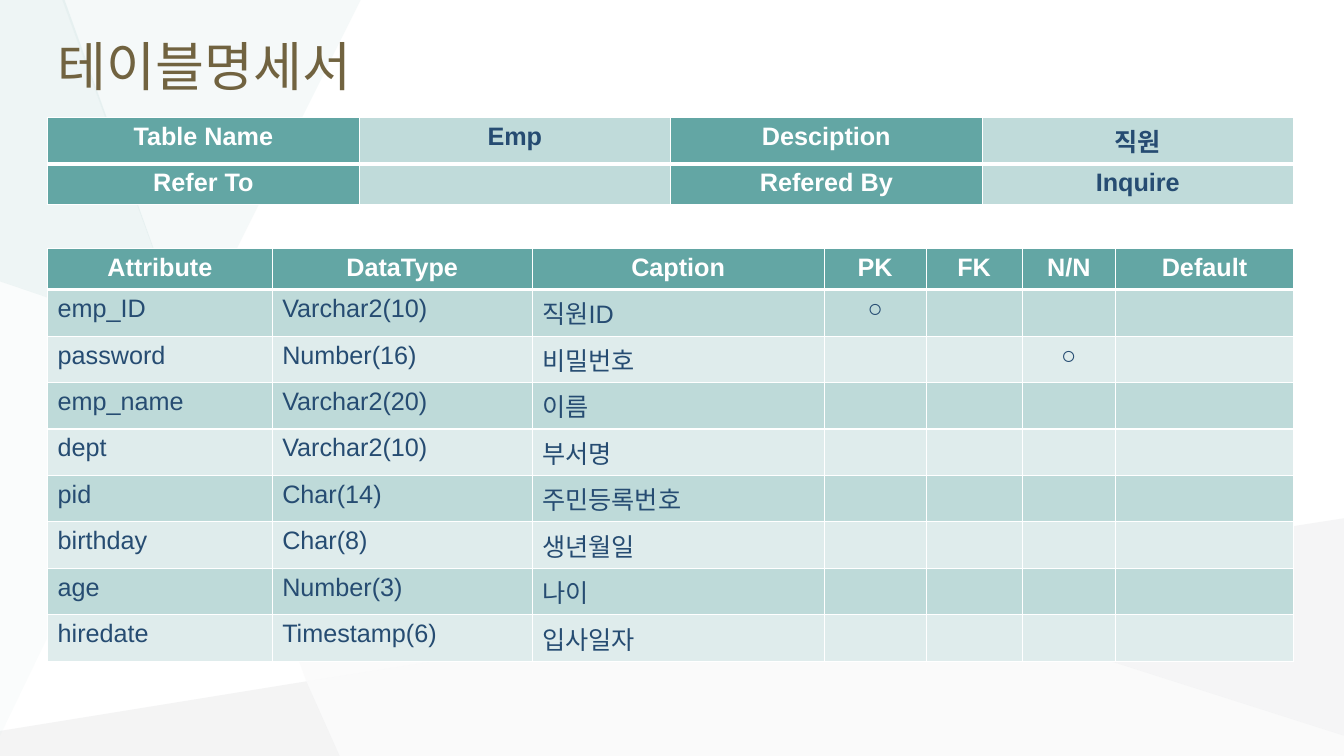
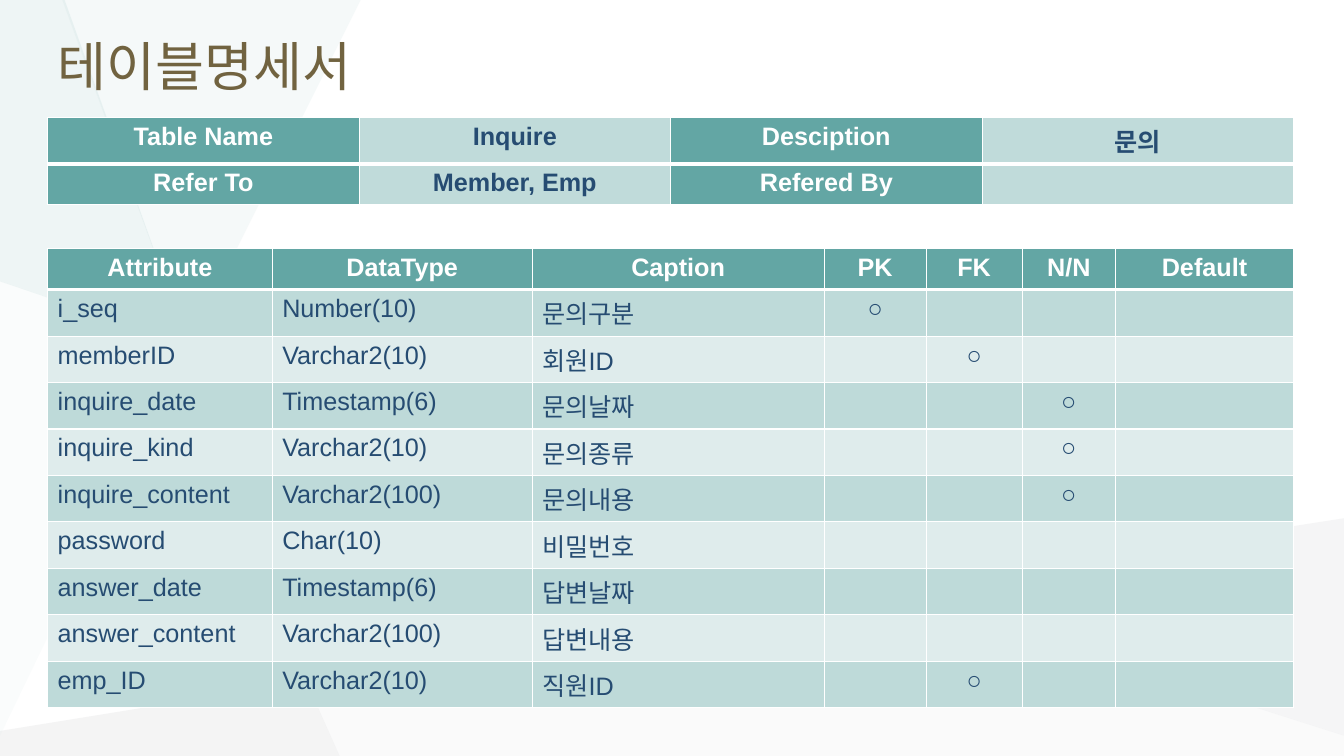
from dataclasses import dataclass
from pptx import Presentation
from pptx.dml.color import RGBColor
from pptx.enum.text import MSO_ANCHOR, PP_ALIGN
from pptx.oxml import parse_xml
from pptx.oxml.ns import nsdecls, qn
from pptx.util import Cm, Pt


@dataclass(frozen=True)
class Theme:
    font: str = "Arial"
    title: str = "716340"
    ink: str = "264C72"
    white: str = "FFFFFF"
    teal: str = "63A6A4"
    bands: tuple = ("BEDAD9", "DFECEC")
    tint: int = 40
    head: int = 38
    body: int = 18
    thin: int = 1
    mid: int = 2
    thick: int = 3


T = Theme()
TITLE = "테이블명세서"
LABELS = (("Table Name", "Desciption"), ("Refer To", "Refered By"))
HEADS = ("Attribute", "DataType", "Caption", "PK", "FK", "N/N", "Default")
MARK = "○"

SPECS = [
    {
        "facts": (("Emp", "직원"), ("", "Inquire")),
        "rows": [
            ("emp_ID", "Varchar2(10)", "직원ID", "PK"),
            ("password", "Number(16)", "비밀번호", "N/N"),
            ("emp_name", "Varchar2(20)", "이름", ""),
            ("dept", "Varchar2(10)", "부서명", ""),
            ("pid", "Char(14)", "주민등록번호", ""),
            ("birthday", "Char(8)", "생년월일", ""),
            ("age", "Number(3)", "나이", ""),
            ("hiredate", "Timestamp(6)", "입사일자", ""),
        ],
    },
    {
        "facts": (("Inquire", "문의"), ("Member, Emp", "")),
        "rows": [
            ("i_seq", "Number(10)", "문의구분", "PK"),
            ("memberID", "Varchar2(10)", "회원ID", "FK"),
            ("inquire_date", "Timestamp(6)", "문의날짜", "N/N"),
            ("inquire_kind", "Varchar2(10)", "문의종류", "N/N"),
            ("inquire_content", "Varchar2(100)", "문의내용", "N/N"),
            ("password", "Char(10)", "비밀번호", ""),
            ("answer_date", "Timestamp(6)", "답변날짜", ""),
            ("answer_content", "Varchar2(100)", "답변내용", ""),
            ("emp_ID", "Varchar2(10)", "직원ID", "FK"),
        ],
    },
]

WIDE, HIGH = 33.87, 19.05
LEFT, SPAN = 1.2, 31.4
LOW_ROW, TALL_ROW = 1.03, 1.17
COLS = (5.66, 6.55, 7.36, 2.57, 2.42, 2.35, 4.49)
FACT_TOP, LIST_TOP = 2.96, 6.27

HUB, LOW, EDGE = (22.33, 14.86), (7.72, 17.17), (4.75, 8.71)
FOOT, SIDE = (8.56, HIGH), (0, 7.09)
FACETS = [
    ("F3F2F2", 26, [(4.83, 8.74), (6.12, 12.75), LOW, HUB]),
    ("B6B8BA", 15, [LOW, (0, 18.42), (0, HIGH), FOOT]),
    ("E0EDED", 31, [(9.09, 0), (1.57, 0), EDGE]),
    ("C6C8CA", 17, [(WIDE, 13.06), HUB, (WIDE, 18.54)]),
    ("B6B8BA", 6, [HUB, LOW, FOOT, (WIDE, HIGH), (WIDE, 18.54)]),
    ("C1DBDB", 27, [(1.63, 0), (0, 0), SIDE, EDGE]),
    ("C1DBDB", 8, [SIDE, (0, 18.54), EDGE]),
]


def put(frame, text, color=T.ink, size=T.body, bold=False, align=PP_ALIGN.LEFT):
    para = frame.paragraphs[0]
    para.alignment = align
    if text:
        run = para.add_run()
        run.text = text
        font = run.font
        font.name, font.size, font.bold = T.font, Pt(size), bold
        font.color.rgb = RGBColor.from_string(color)


def paint(fill, color, props, alpha=100):
    fill.solid()
    fill.fore_color.rgb = RGBColor.from_string(color)
    if alpha < 100:
        tone = props.find(qn("a:solidFill")).find(qn("a:srgbClr"))
        tone.append(parse_xml(f'<a:alpha {nsdecls("a")} val="{alpha * 1000}"/>'))


def edge_cell(props, top, base):
    sides = (("L", T.thin), ("R", T.thin), ("T", top), ("B", base))
    for spot, (side, width) in enumerate(sides):
        props.insert(spot, parse_xml(
            f'<a:ln{side} {nsdecls("a")} w="{Pt(width)}"><a:solidFill>'
            f'<a:srgbClr val="{T.white}"/></a:solidFill></a:ln{side}>'))


def add_grid(slide, top, cols, highs, rows, rule):
    size = Cm(LEFT), Cm(top), Cm(SPAN), Cm(sum(highs))
    grid = slide.shapes.add_table(len(rows), len(cols), *size).table
    grid.first_row = grid.horz_banding = False
    for col, width in zip(grid.columns, cols):
        col.width = Cm(width)
    for r, (row, high) in enumerate(zip(rows, highs)):
        grid.rows[r].height = Cm(high)
        for c, (text, fill, alpha, form) in enumerate(row):
            cell = grid.cell(r, c)
            props = cell._tc.get_or_add_tcPr()
            put(cell.text_frame, text, **form)
            paint(cell.fill, fill, props, alpha)
            edge_cell(props, rule if r == 1 else T.thin, rule if r == 0 else T.thin)


def head(text):
    return text, T.teal, 100, dict(color=T.white, bold=True, align=PP_ALIGN.CENTER)


def fact(text):
    return text, T.teal, T.tint, dict(bold=True, align=PP_ALIGN.CENTER)


def fact_rows(facts):
    return [[make(text) for pair in zip(names, values)
             for make, text in zip((head, fact), pair)]
            for names, values in zip(LABELS, facts)]


def list_rows(items):
    rows = [[head(name) for name in HEADS]]
    for i, (*words, key) in enumerate(items):
        fill = T.bands[i % 2]
        marks = [MARK if name == key else "" for name in HEADS[3:]]
        rows.append([(word, fill, 100, {}) for word in words]
                    + [(mark, fill, 100, dict(align=PP_ALIGN.CENTER)) for mark in marks])
    return rows


def add_facets(slide, master):
    for spot, (color, alpha, points) in enumerate(FACETS):
        start, *rest = [(Cm(x), Cm(y)) for x, y in points]
        pen = slide.shapes.build_freeform(*start)
        pen.add_line_segments(rest, close=True)
        shape = pen.convert_to_shape()
        shape.shadow.inherit = False
        shape.line.fill.background()
        paint(shape.fill, color, shape.element.spPr, alpha)
        next(shape.element.iter(qn("p:cNvPr"))).set("id", str(100 + spot))
        master.shapes.element.insert(2 + spot, shape.element)


def add_title(slide):
    box = slide.shapes.add_textbox(Cm(LEFT), Cm(0.33), Cm(SPAN), Cm(2.62))
    frame = box.text_frame
    frame.word_wrap = True
    frame.vertical_anchor = MSO_ANCHOR.MIDDLE
    put(frame, TITLE, color=T.title, size=T.head)


def main():
    deck = Presentation()
    deck.slide_width, deck.slide_height = Cm(WIDE), Cm(HIGH)
    for i, item in enumerate(SPECS):
        slide = deck.slides.add_slide(deck.slide_layouts[6])
        if i == 0:
            add_facets(slide, deck.slide_master)
        add_title(slide)
        items = item["rows"]
        add_grid(slide, LIST_TOP, COLS, [LOW_ROW] + [TALL_ROW] * len(items),
                 list_rows(items), T.mid)
        add_grid(slide, FACT_TOP, [SPAN / 4] * 4, [TALL_ROW, LOW_ROW],
                 fact_rows(item["facts"]), T.thick)
    deck.save("out.pptx")


if __name__ == "__main__":
    main()
